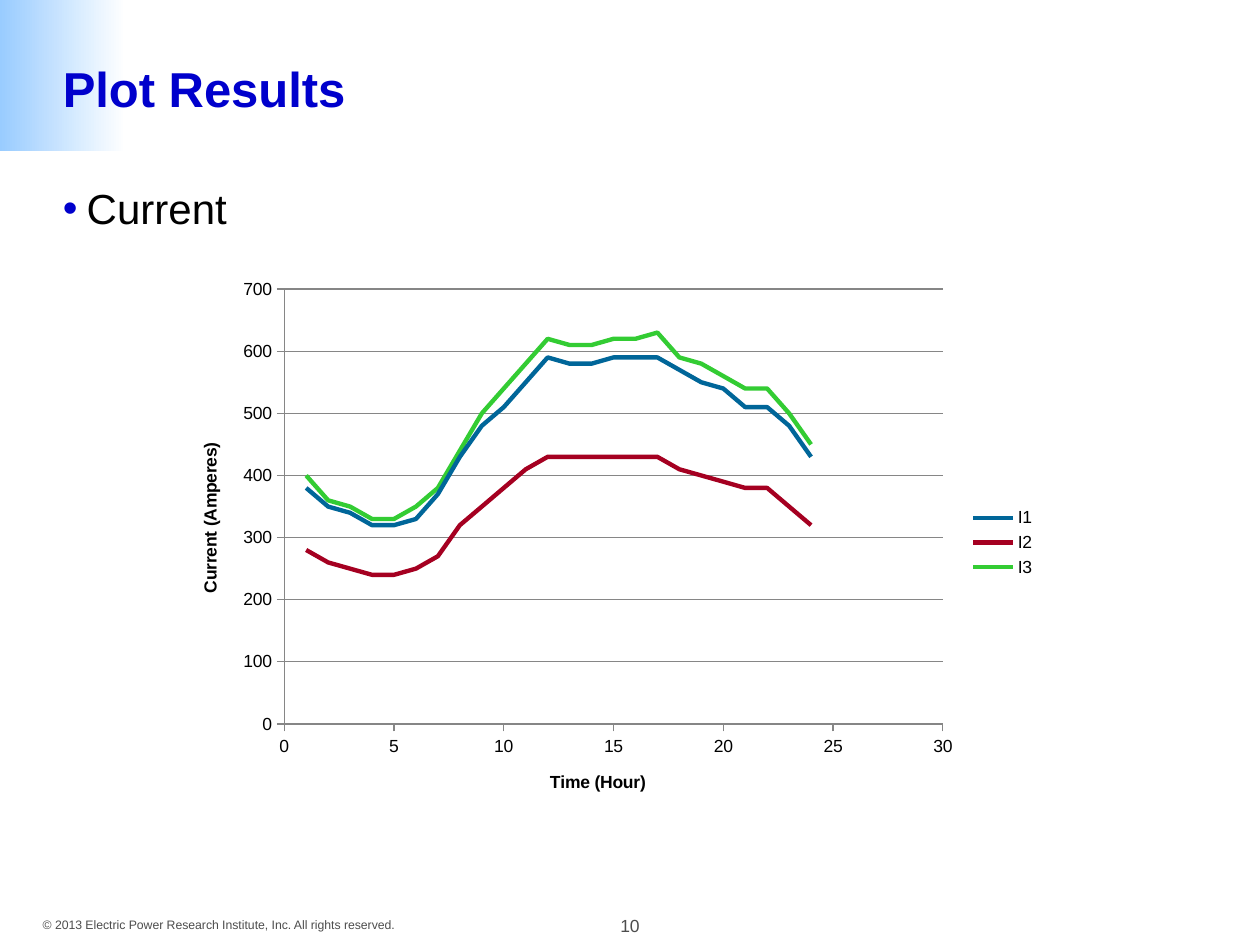
import pptx
import pptx.util
import pptx.chart.data
import pptx.dml.color
import pptx.enum.chart
import pptx.enum.shapes
import pptx.enum.text
import lxml.etree

Pt = pptx.util.Pt
RGB = pptx.dml.color.RGBColor
ALIGN = pptx.enum.text.PP_ALIGN
ANCHOR = pptx.enum.text.MSO_ANCHOR
KIND = pptx.enum.chart

BLUE = RGB(0x00, 0x00, 0xCC)
SKY = RGB(0x99, 0xCC, 0xFF)
WHITE = RGB(0xFF, 0xFF, 0xFF)
BLACK = RGB(0x00, 0x00, 0x00)
GRAY = RGB(0x4D, 0x4D, 0x4D)
RULE = RGB(0x86, 0x86, 0x86)
TEAL = RGB(0x00, 0x66, 0x99)
RED = RGB(0xA5, 0x00, 0x21)
GREEN = RGB(0x33, 0xCC, 0x33)

deck = pptx.Presentation()
deck.slide_width = pptx.util.Inches(10)
deck.slide_height = pptx.util.Inches(7.5)
slide = deck.slides.add_slide(deck.slide_layouts[6])
col = deck.slide_width / 100
row = deck.slide_height / 75


def place(left, top, width, height):
    return int(left * col), int(top * row), int(width * col), int(height * row)


def write(spot, text, size, color, bold=False, align=ALIGN.LEFT, anchor=ANCHOR.TOP, wrap=True):
    box = slide.shapes.add_textbox(*place(*spot))
    frame = box.text_frame
    frame.word_wrap = wrap
    frame.vertical_anchor = anchor
    para = frame.paragraphs[0]
    para.alignment = align
    run = para.add_run()
    run.text = text
    run.font.name = "Arial"
    run.font.size = Pt(size)
    run.font.bold = bold
    run.font.color.rgb = color
    return para


band = slide.shapes.add_shape(pptx.enum.shapes.MSO_SHAPE.RECTANGLE, *place(0, 0, 10, 12))
band.shadow.inherit = False
band.line.fill.background()
band.fill.gradient()
band.fill.gradient_angle = 180
for stop, color in zip(band.fill.gradient_stops, (WHITE, SKY)):
    stop.color.rgb = color

write((46.7, 72.1, 6.6, 2.7), "10", 10, GRAY, align=ALIGN.CENTER)
write((2.4, 72.3, 30.2, 2.2),
      "© 2013 Electric Power Research Institute, Inc. All rights reserved.", 7, GRAY, wrap=False)
write((4, 2, 92, 10), "Plot Results", 28, BLUE, bold=True, anchor=ANCHOR.MIDDLE)

item = write((4, 14, 92, 55), "Current", 24, BLACK)
item.space_after = Pt(6)
props = item._p.get_or_add_pPr()
dent = int(1.9 * col)
props.set("marL", str(dent))
props.set("indent", str(-dent))
NS = "{http://schemas.openxmlformats.org/drawingml/2006/main}"
tint = lxml.etree.SubElement(props, NS + "buClr")
lxml.etree.SubElement(tint, NS + "srgbClr", val=str(BLUE))
lxml.etree.SubElement(props, NS + "buFont", typeface="Arial")
lxml.etree.SubElement(props, NS + "buChar", char="•")

lines = [
    ("I1", TEAL, [380, 350, 340, 320, 320, 330, 370, 430, 480, 510, 550, 590,
                  580, 580, 590, 590, 590, 570, 550, 540, 510, 510, 480, 430]),
    ("I2", RED, [280, 260, 250, 240, 240, 250, 270, 320, 350, 380, 410, 430,
                 430, 430, 430, 430, 430, 410, 400, 390, 380, 380, 350, 320]),
    ("I3", GREEN, [400, 360, 350, 330, 330, 350, 380, 440, 500, 540, 580, 620,
                   610, 610, 620, 620, 630, 590, 580, 560, 540, 540, 500, 450]),
]
data = pptx.chart.data.XyChartData()
for name, color, amps in lines:
    curve = data.add_series(name)
    for hour, amp in enumerate(amps, 1):
        curve.add_data_point(hour, amp)

chart = slide.shapes.add_chart(KIND.XL_CHART_TYPE.XY_SCATTER_SMOOTH_NO_MARKERS,
                               *place(13.5, 21.2, 69.7, 43.7), data).chart
chart.has_title = False
chart.font.name = "Arial"
chart.font.size = Pt(10)
chart.font.color.rgb = BLACK
chart.has_legend = True
chart.legend.position = KIND.XL_LEGEND_POSITION.RIGHT
chart.legend.include_in_layout = False

plot = chart.plots[0]
plot.vary_by_categories = False
for curve, (name, color, amps) in zip(plot.series, lines):
    curve.smooth = True
    curve.marker.style = KIND.XL_MARKER_STYLE.NONE
    curve.format.line.width = Pt(2.5)
    curve.format.line.color.rgb = color

for axis, label, top, step in ((chart.category_axis, "Time (Hour)", 30, 5),
                               (chart.value_axis, "Current (Amperes)", 700, 100)):
    axis.minimum_scale = 0
    axis.maximum_scale = top
    axis.major_unit = step
    axis.major_tick_mark = KIND.XL_TICK_MARK.OUTSIDE
    axis.minor_tick_mark = KIND.XL_TICK_MARK.NONE
    axis.has_major_gridlines = axis is not chart.category_axis and label != "Time (Hour)"
    axis.format.line.color.rgb = RULE
    axis.format.line.width = Pt(0.75)
    run = axis.axis_title.text_frame.paragraphs[0].add_run()
    run.text = label
    run.font.name = "Arial"
    run.font.size = Pt(10)
    run.font.bold = True
    run.font.color.rgb = BLACK
grid = chart.value_axis.major_gridlines.format.line
grid.color.rgb = RULE
grid.width = Pt(0.75)

CH = "{http://schemas.openxmlformats.org/drawingml/2006/chart}"
area = chart._chartSpace.find(".//" + CH + "plotArea")
for old in area.findall(CH + "layout"):
    area.remove(old)
frame = lxml.etree.Element(CH + "layout")
area.insert(0, frame)
inner = lxml.etree.SubElement(frame, CH + "manualLayout")
for tag, val in (("layoutTarget", "inner"), ("xMode", "edge"), ("yMode", "edge"),
                 ("x", "0.13"), ("y", "0.04"), ("w", "0.75"), ("h", "0.79")):
    lxml.etree.SubElement(inner, CH + tag, val=val)

deck.save("out.pptx")
